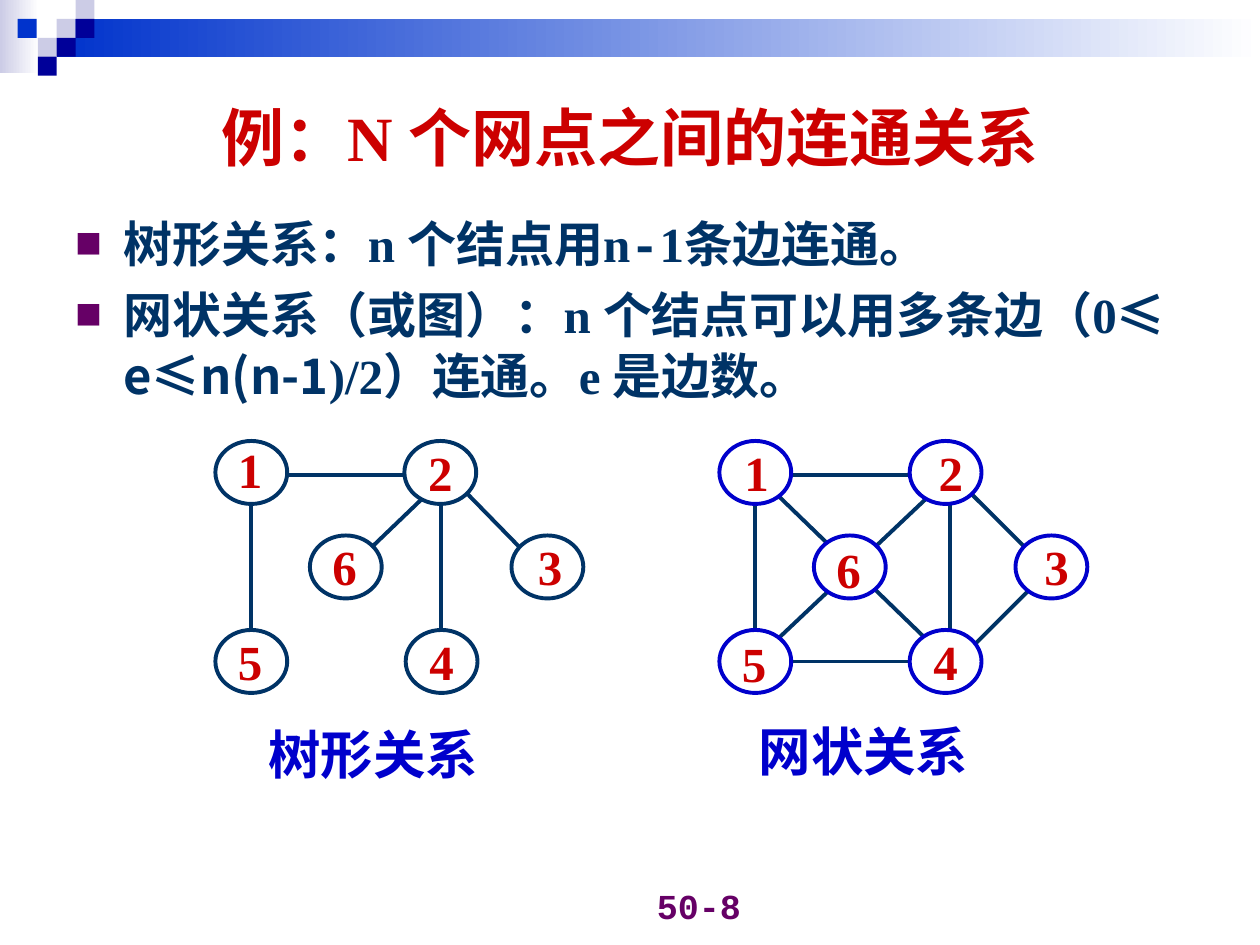
from lxml import etree
from pptx import Presentation
from pptx.dml.color import RGBColor
from pptx.enum.shapes import MSO_CONNECTOR, MSO_SHAPE
from pptx.enum.text import MSO_ANCHOR, PP_ALIGN
from pptx.oxml.ns import qn
from pptx.util import Inches, Pt

RECTANGLE, OVAL = MSO_SHAPE.RECTANGLE, MSO_SHAPE.OVAL
STRAIGHT = MSO_CONNECTOR.STRAIGHT
TOP, MIDDLE, BOTTOM = MSO_ANCHOR.TOP, MSO_ANCHOR.MIDDLE, MSO_ANCHOR.BOTTOM
LEFT, CENTER, RIGHT = PP_ALIGN.LEFT, PP_ALIGN.CENTER, PP_ALIGN.RIGHT

WHITE = RGBColor(0xFF, 0xFF, 0xFF)
LAVENDER = RGBColor(0xCC, 0xCC, 0xE6)
BRIGHT_BLUE = RGBColor(0x00, 0x33, 0xCC)
DARK_BLUE = RGBColor(0x00, 0x00, 0x99)
BLUE = RGBColor(0x00, 0x00, 0xCC)
NAVY = RGBColor(0x00, 0x33, 0x66)
RED = RGBColor(0xCC, 0x00, 0x00)
PURPLE = RGBColor(0x66, 0x00, 0x66)

SERIF = "Times New Roman"
MONO = "Courier New"
CHINESE = "Noto Sans CJK SC"

presentation = Presentation()
presentation.slide_width = Inches(10)
presentation.slide_height = Inches(7.5)
slide = presentation.slides.add_slide(presentation.slide_layouts[6])
shapes = slide.shapes


def add_run(paragraph, text, size=28, color=NAVY, font=SERIF):
    run = paragraph.add_run()
    run.text = text
    run.font.size = Pt(size)
    run.font.bold = True
    run.font.color.rgb = color
    run.font.name = font
    east_asian = etree.SubElement(run.font._element, qn("a:ea"))
    east_asian.set("typeface", CHINESE)


def add_text(text, left, top, width, height, align=LEFT, anchor=TOP, wrap=True, **run_format):
    box = shapes.add_textbox(Inches(left), Inches(top), Inches(width), Inches(height))
    frame = box.text_frame
    frame.word_wrap = wrap
    frame.vertical_anchor = anchor
    paragraph = frame.paragraphs[0]
    paragraph.alignment = align
    if text:
        add_run(paragraph, text, **run_format)
    return frame


for left, top, width, height, color, fades in [
    (0, 0, 0.31, 0.58, LAVENDER, True),
    (0.45, 0.15, 9.55, 0.3, BRIGHT_BLUE, True),
    (0.45, 0.15, 0.15, 0.15, LAVENDER, False),
    (0.6, 0, 0.15, 0.15, LAVENDER, False),
    (0.6, 0.15, 0.15, 0.15, DARK_BLUE, False),
    (0.3, 0.3, 0.15, 0.15, LAVENDER, False),
    (0.14, 0.15, 0.15, 0.15, BRIGHT_BLUE, False),
    (0.45, 0.3, 0.15, 0.15, DARK_BLUE, False),
    (0.3, 0.45, 0.15, 0.15, DARK_BLUE, False),
]:
    block = shapes.add_shape(RECTANGLE, Inches(left), Inches(top), Inches(width), Inches(height))
    block.shadow.inherit = False
    block.line.fill.background()
    if fades:
        block.fill.gradient()
        block.fill.gradient_angle = 0
        for stop, stop_color, position in zip(block.fill.gradient_stops, (color, WHITE), (0, 1)):
            stop.color.rgb = stop_color
            stop.position = position
    else:
        block.fill.solid()
        block.fill.fore_color.rgb = color

add_text("50-8", 3.65, 6.9, 2.33, 0.5, align=RIGHT, anchor=BOTTOM, size=20, color=PURPLE, font=MONO)
add_text("例：N 个网点之间的连通关系", 0.5, 0.5, 9, 1.16, align=CENTER, anchor=MIDDLE, size=36, color=RED)

body = add_text("", 0.5, 1.62, 9, 2.52)
bullets = [
    [("树形关系：n 个结点用n", SERIF), ("-", MONO), ("1条边连通。", SERIF)],
    [
        ("网状关系（或图）：n 个结点可以用多条边（0", SERIF),
        ("≤ e≤n(n-1", CHINESE),
        (")/2）连通。e 是边数。", SERIF),
    ],
]
for index, runs in enumerate(bullets):
    paragraph = body.add_paragraph() if index else body.paragraphs[0]
    paragraph.line_spacing = 1.05
    if index:
        paragraph.space_before = Pt(5.2)
    properties = paragraph._p.get_or_add_pPr()
    properties.set("marL", str(Inches(0.38)))
    properties.set("indent", str(-Inches(0.38)))
    bullet_color = etree.SubElement(properties, qn("a:buClr"))
    etree.SubElement(bullet_color, qn("a:srgbClr")).set("val", str(PURPLE))
    etree.SubElement(properties, qn("a:buSzPct")).set("val", "55000")
    etree.SubElement(properties, qn("a:buFont")).set("typeface", CHINESE)
    etree.SubElement(properties, qn("a:buChar")).set("char", "■")
    for text, font in runs:
        add_run(paragraph, text, font=font)

tree_edges = [
    (3.38, 3.93, 2.87, 4.42),
    (2.21, 3.77, 3.28, 3.77),
    (1.99, 3.99, 1.99, 5),
    (3.71, 3.92, 4.16, 4.38),
    (3.5, 3.99, 3.5, 5),
]
network_edges = [
    (8.18, 4.67, 7.71, 5.14),
    (7.67, 3.88, 8.13, 4.34),
    (6.13, 3.89, 7.39, 5.11),
    (7.38, 3.93, 6.1, 5.14),
    (6.21, 5.25, 7.28, 5.25),
    (6.21, 3.77, 7.28, 3.77),
    (5.99, 3.99, 5.99, 5),
    (7.54, 3.99, 7.54, 5),
]
for edge in tree_edges + network_edges:
    connector = shapes.add_connector(STRAIGHT, *[Inches(value) for value in edge])
    connector.line.color.rgb = NAVY
    connector.line.width = Pt(2.25)
    etree.SubElement(connector._element.spPr, qn("a:effectLst"))

tree_nodes = [
    ("1", 1.71, 3.5, 1.79, 3.44),
    ("2", 3.21, 3.5, 3.3, 3.46),
    ("3", 4.06, 4.25, 4.17, 4.21),
    ("4", 3.22, 5, 3.31, 4.96),
    ("5", 1.71, 5, 1.79, 4.96),
    ("6", 2.46, 4.25, 2.54, 4.21),
]
network_nodes = [
    ("1", 5.71, 3.5, 5.81, 3.46),
    ("2", 7.22, 3.5, 7.35, 3.46),
    ("3", 8.06, 4.25, 8.19, 4.21),
    ("4", 7.22, 5, 7.31, 4.96),
    ("5", 5.71, 5, 5.79, 4.98),
    ("6", 6.46, 4.25, 6.54, 4.23),
]
for nodes, outline in [(tree_nodes, NAVY), (network_nodes, BLUE)]:
    for number, left, top, label_left, label_top in nodes:
        node = shapes.add_shape(OVAL, Inches(left), Inches(top), Inches(0.57), Inches(0.5))
        node.shadow.inherit = False
        node.fill.solid()
        node.fill.fore_color.rgb = WHITE
        node.line.color.rgb = outline
        node.line.width = Pt(2.25)
        add_text(number, label_left, label_top, 0.39, 0.57, wrap=False, color=RED)

for caption, left, top in [("树形关系", 2.01, 5.67), ("网状关系", 5.9, 5.65)]:
    frame = add_text(caption, left, top, 1.91, 0.62, wrap=False, size=30, color=BLUE)
    frame.margin_left = frame.margin_right = Inches(0.12)
    frame.margin_top = frame.margin_bottom = Inches(0.06)

presentation.save("out.pptx")
